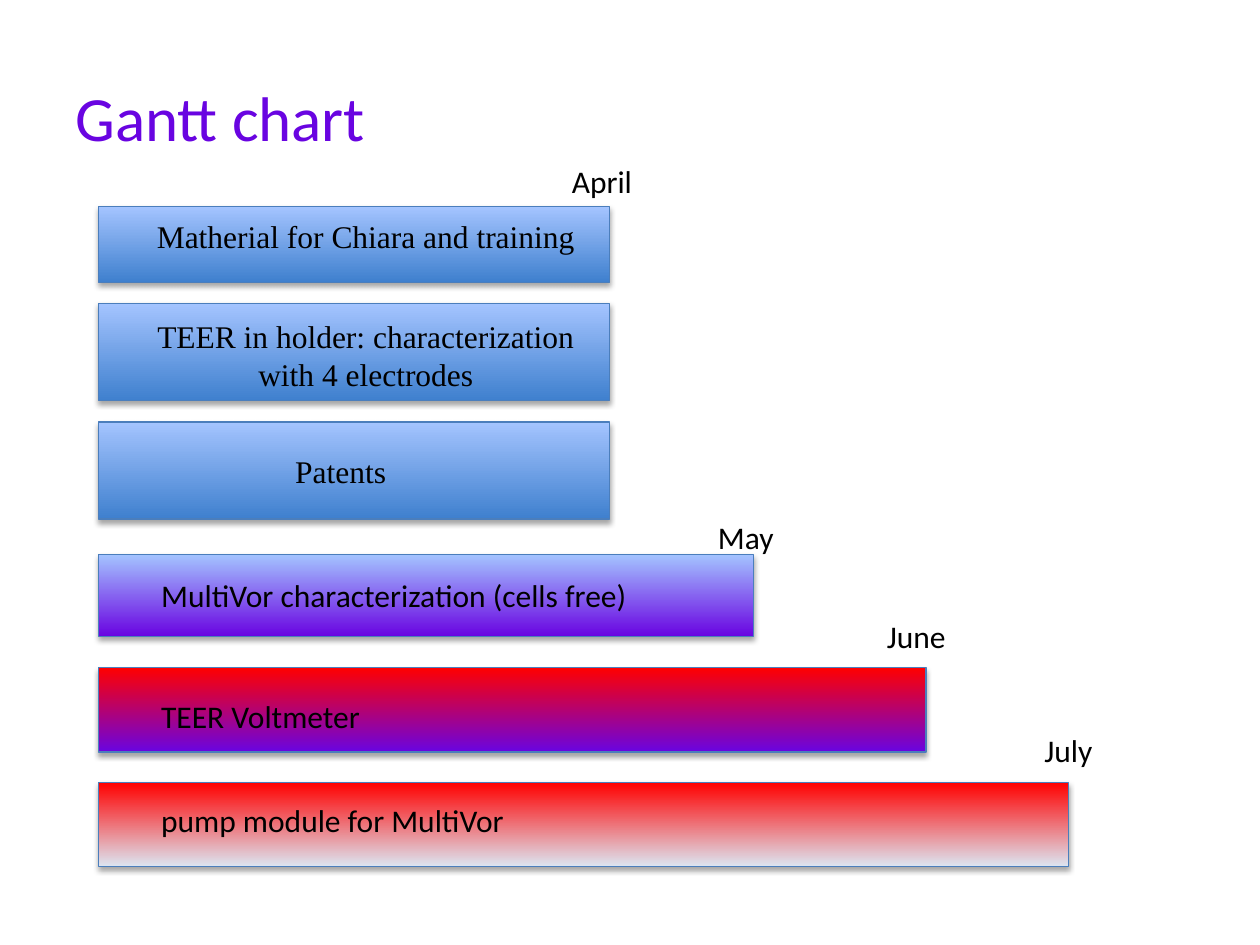
"""Build a Gantt chart slide with gradient bars, task names and month labels."""
import pptx
import pptx.dml.color
import pptx.enum.shapes
import pptx.enum.text
import pptx.oxml
import pptx.oxml.ns
import pptx.util

Pt = pptx.util.Pt
RGB = pptx.dml.color.RGBColor.from_string
ALIGN = pptx.enum.text.PP_ALIGN
SANS, SERIF = "Calibri", "Times New Roman"
COLORS = {
    "violet": "6904E1", "red": "FF0000", "pale": "DCE6F2", "sky": "A4C4FF",
    "blue": "3F80CE", "edge": "4B7EBC", "black": "000000",
}
SHADOW = (
    f'<a:outerShdw {pptx.oxml.ns.nsdecls("a")} blurRad="{Pt(3.1)}" dist="{Pt(1.8)}" '
    f'dir="5400000" rotWithShape="0"><a:srgbClr val="{COLORS["black"]}">'
    '<a:alpha val="35000"/></a:srgbClr></a:outerShdw>'
)


def write(frame, text, font, size, color, align):
    """Put one formatted run into the first paragraph of a frame."""
    para = frame.paragraphs[0]
    para.alignment = align
    run = para.add_run()
    run.text = text
    run.font.name = font
    run.font.size = Pt(size)
    run.font.color.rgb = RGB(COLORS[color])


deck = pptx.Presentation()
deck.slide_width, deck.slide_height = Pt(720), Pt(540)
slide = deck.slides.add_slide(deck.slide_layouts[5])

title = slide.shapes.title
title.left, title.top, title.width, title.height = Pt(36), Pt(21.6), Pt(598.3), Pt(90)
title.text_frame.vertical_anchor = pptx.enum.text.MSO_ANCHOR.MIDDLE
write(title.text_frame, "Gantt chart", SANS, 36, "violet", ALIGN.LEFT)

start = 56.16
bars = [
    (118.1, 292.3, 43.2, "sky", "blue"),
    (173.5, 292.3, 55.4, "sky", "blue"),
    (241.2, 292.3, 55.4, "sky", "blue"),
    (316.8, 374.4, 46.8, "sky", "violet"),
    (381.6, 473, 48.2, "red", "violet"),
    (447.1, 554.4, 48.2, "red", "pale"),
]
for top, width, height, upper, lower in bars:
    bar = slide.shapes.add_shape(
        pptx.enum.shapes.MSO_SHAPE.RECTANGLE, Pt(start), Pt(top), Pt(width), Pt(height))
    bar.fill.gradient()
    bar.fill.gradient_angle = 90
    for stop, spot, shade in zip(bar.fill.gradient_stops, (0, 1), (lower, upper)):
        stop.position = spot
        stop.color.rgb = RGB(COLORS[shade])
    bar.line.color.rgb = RGB(COLORS["edge"])
    bar.line.width = Pt(0.75)
    bar.shadow.inherit = False
    effects = bar._element.spPr.find(pptx.oxml.ns.qn("a:effectLst"))
    effects.append(pptx.oxml.parse_xml(SHADOW))

labels = [
    ("Matherial for Chiara and training", 69.8, 120.2, 278.6, 29, SERIF, ALIGN.CENTER),
    ("TEER in holder: characterization with 4 electrodes",
     69.8, 177.8, 278.6, 51, SERIF, ALIGN.CENTER),
    ("Patents", 69.8, 254.9, 249.8, 29, SERIF, ALIGN.CENTER),
    ("MultiVor characterization (cells free)", 85, 325.4, 323.3, 29, SANS, ALIGN.LEFT),
    ("TEER Voltmeter", 85, 394.6, 508.3, 29, SANS, ALIGN.LEFT),
    ("pump module for MultiVor", 85, 454.3, 216.7, 29, SANS, ALIGN.LEFT),
    ("April", 319.7, 89.3, 110.9, 29, SANS, ALIGN.LEFT),
    ("May", 403.2, 292.3, 74.2, 29, SANS, ALIGN.LEFT),
    ("June", 499.7, 349.2, 110.9, 29, SANS, ALIGN.LEFT),
    ("July", 555.1, 414, 110.9, 29, SANS, ALIGN.CENTER),
]
for text, left, top, width, height, font, align in labels:
    frame = slide.shapes.add_textbox(Pt(left), Pt(top), Pt(width), Pt(height)).text_frame
    frame.word_wrap = True
    frame.auto_size = pptx.enum.text.MSO_AUTO_SIZE.SHAPE_TO_FIT_TEXT
    write(frame, text, font, 18, "black", align)

deck.save("out.pptx")
